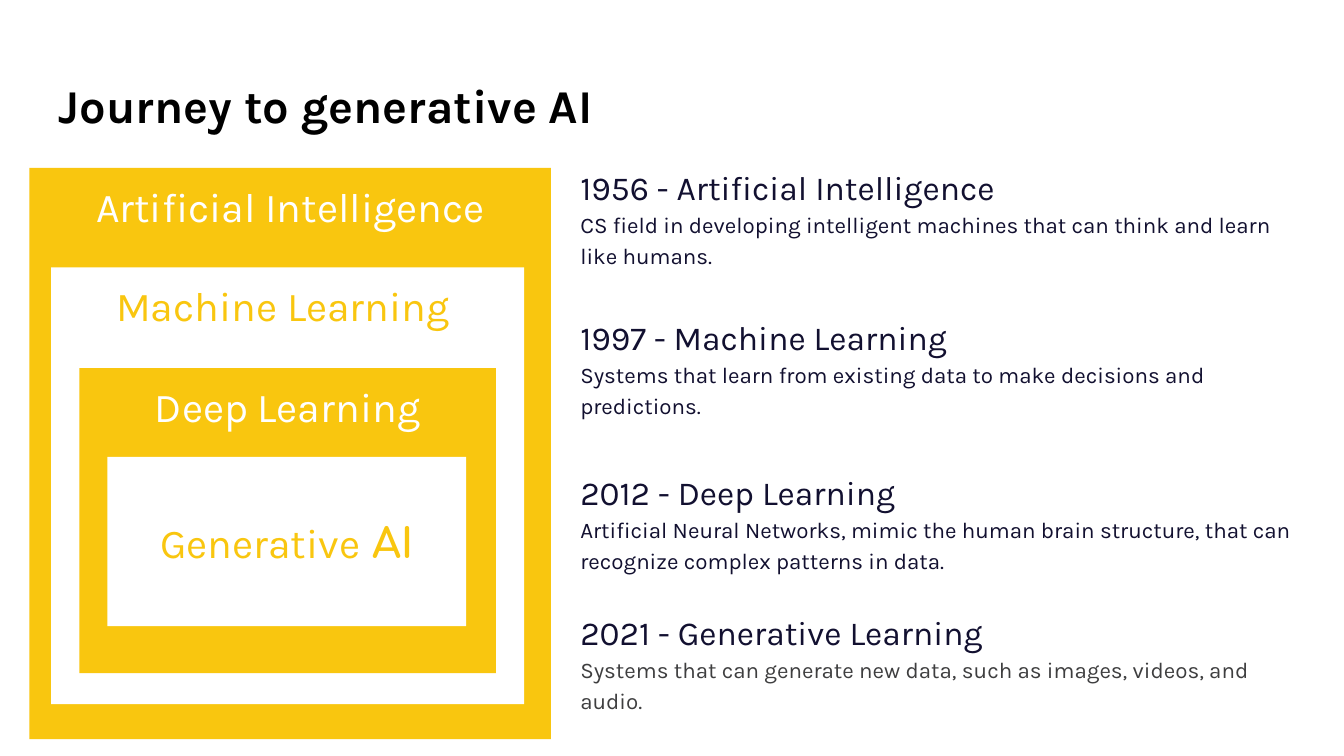
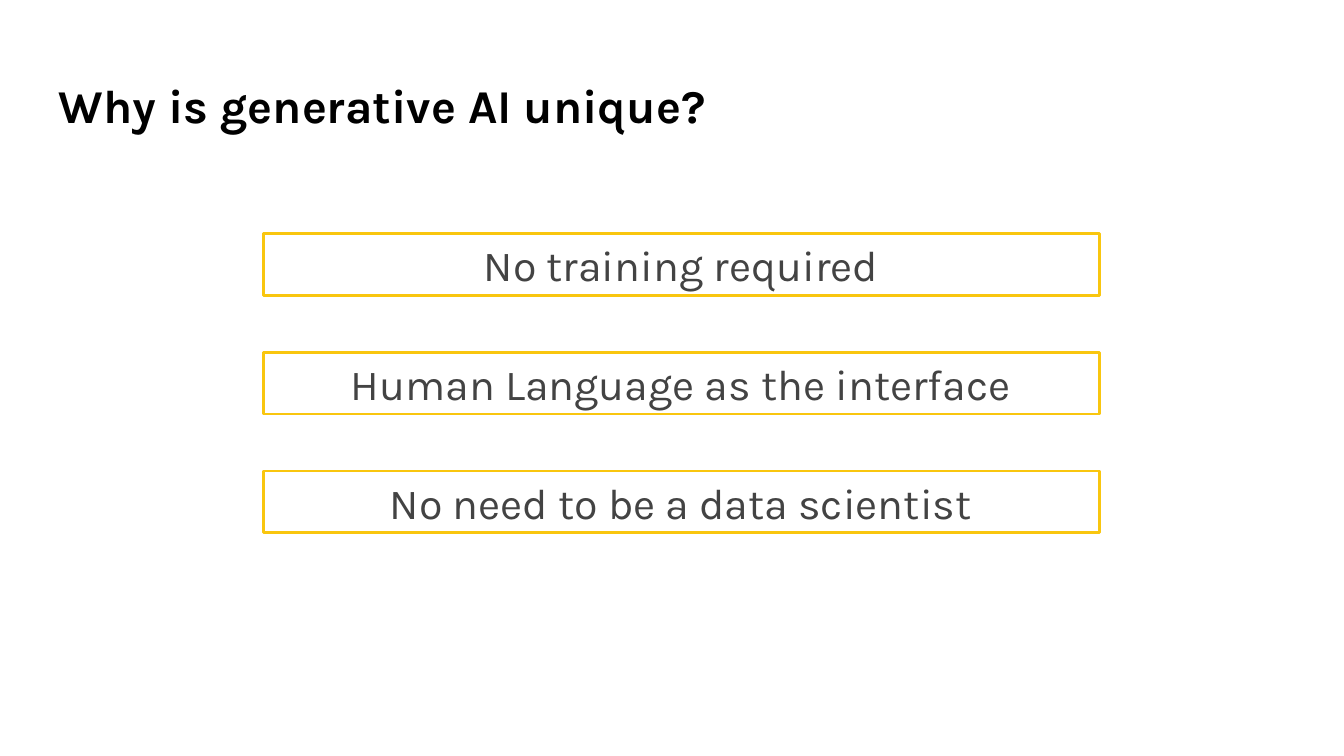
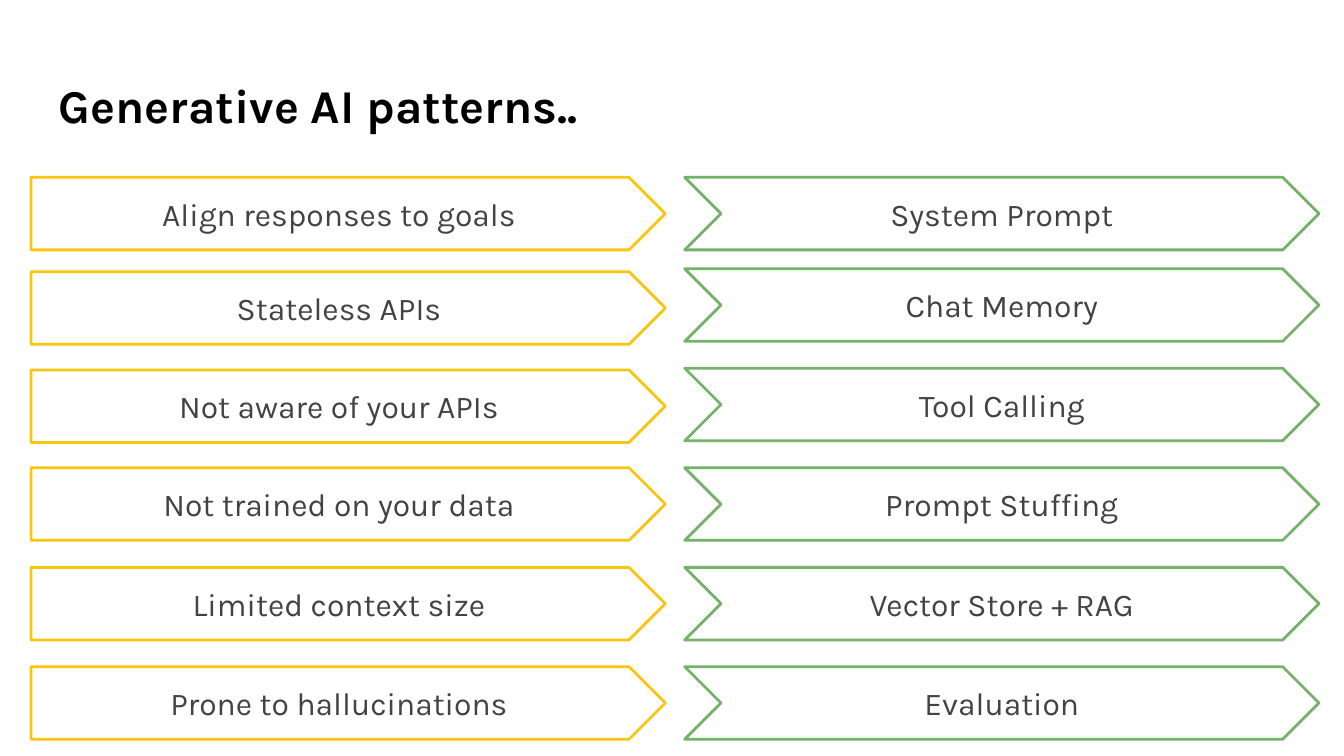
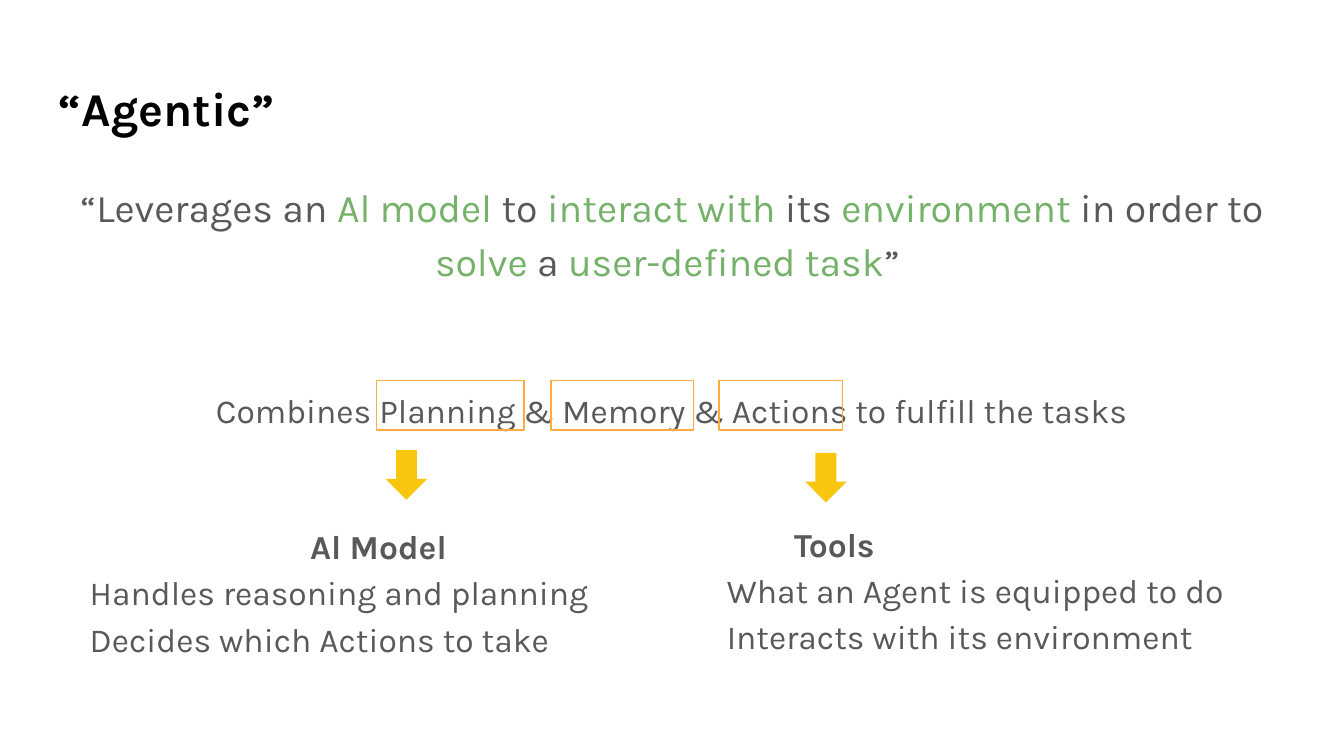
"""Build four slides introducing generative AI and agents."""
import pptx
import pptx.dml.color
import pptx.enum.shapes
import pptx.enum.text
import pptx.util

Pt = pptx.util.Pt
RGBColor = pptx.dml.color.RGBColor
SHAPE = pptx.enum.shapes.MSO_SHAPE
ALIGN = pptx.enum.text.PP_ALIGN
ANCHOR = pptx.enum.text.MSO_ANCHOR

YELLOW = RGBColor(0xF9, 0xC6, 0x0F)
GREEN = RGBColor(0x75, 0xB2, 0x69)
ORANGE = RGBColor(0xFF, 0xAB, 0x40)
WHITE = RGBColor(0xFF, 0xFF, 0xFF)
BLACK = RGBColor(0, 0, 0)
NAVY = RGBColor(0x12, 0x10, 0x30)
CHARCOAL = RGBColor(0x3E, 0x3E, 0x3F)
DARK_GRAY = RGBColor(0x43, 0x43, 0x43)
GRAY = RGBColor(0x59, 0x59, 0x59)

FONT = "Karla"
ACCENT_FONT = "Comfortaa"
INSET = 7.2
BODY_SPACING = 1.15

MILESTONES = [
    ("1956 - Artificial Intelligence",
     "CS field in developing intelligent machines that can think and learn like humans.",
     NAVY, 79.2),
    ("1997 - Machine Learning",
     "Systems that learn from existing data to make decisions and predictions.",
     NAVY, 159.1),
    ("2012 - Deep Learning",
     "Artificial Neural Networks, mimic the human brain structure, "
     "that can recognize complex patterns in data.",
     NAVY, 242.6),
    ("2021 - Generative Learning",
     "Systems that can generate new data, such as images, videos, and audio.",
     CHARCOAL, 317.5),
]
NESTED_FIELDS = [
    ("Artificial Intelligence", (15.8, 90, 279.4, 306)),
    ("Machine Learning ", (27.4, 143.3, 253.4, 234)),
    ("Deep Learning", (42.5, 197.3, 223.2, 163.4)),
    ("Generative", (57.6, 244.8, 192.2, 90.7)),
]
REASONS = [
    "No training required",
    "Human Language as the interface",
    "No need to be a data scientist",
]
PATTERNS = [
    ("Align responses to goals", 95, "System Prompt", 95),
    ("Stateless APIs", 145.6, "Chat Memory", 144),
    ("Not aware of your APIs", 198.2, "Tool Calling", 197.3),
    ("Not trained on your data", 250.6, "Prompt Stuffing", 250.6),
    ("Limited context size", 304, "Vector Store + RAG", 304),
    ("Prone to hallucinations", 357.2, "Evaluation", 357.2),
]
QUOTE = [
    ("“Leverages an ", GRAY), ("Al model", GREEN), (" to ", GRAY),
    ("interact with", GREEN), (" its ", GRAY), ("environment", GREEN),
    (" in order to ", GRAY), ("solve", GREEN), (" a ", GRAY),
    ("user-defined task", GREEN), ("” ", GRAY),
]
COMBINATION = "Combines Planning & Memory & Actions to fulfill the tasks"
KEYWORD_FRAMES = [(201.6, 79.2), (385.2, 66.2), (295.2, 76.3)]
AGENT_PARTS = [
    ("Al Model", ["Handles reasoning and planning", "Decides which Actions to take"],
     118, (41, 271.4, 353.5, 86.4), (206.6, 241.2)),
    ("Tools", ["What an Agent is equipped to do", "Interacts with its environment"],
     36, (382.3, 270, 335.5, 111.6), (431.3, 242.6)),
]


def style_font(font, size, color, bold=False, name=FONT):
    font.name = name
    font.size = Pt(size)
    font.bold = bold
    font.color.rgb = color


def prepare_frame(shape, anchor, inset=INSET):
    frame = shape.text_frame
    frame.word_wrap = True
    frame.vertical_anchor = anchor
    frame.margin_left = frame.margin_right = Pt(inset)
    frame.margin_top = frame.margin_bottom = Pt(inset)
    return frame


def add_text_box(slide, box, anchor=ANCHOR.TOP):
    return prepare_frame(slide.shapes.add_textbox(*map(Pt, box)), anchor)


def add_figure(slide, kind, box, fill=None, line=None, line_width=1.5):
    shape = slide.shapes.add_shape(kind, *map(Pt, box))
    shape.shadow.inherit = False
    if fill is None:
        shape.fill.background()
    else:
        shape.fill.solid()
        shape.fill.fore_color.rgb = fill
    if line is None:
        shape.line.fill.background()
    else:
        shape.line.color.rgb = line
        shape.line.width = Pt(line_width)
    return shape


def write_lines(frame, lines, align=ALIGN.LEFT, spacing=None):
    """Write (text, size, color, bold) lines, one paragraph each."""
    for index, (text, *style) in enumerate(lines):
        paragraph = frame.add_paragraph() if index else frame.paragraphs[0]
        paragraph.text = text
        paragraph.alignment = align
        if spacing:
            paragraph.line_spacing = spacing
        style_font(paragraph.font, *style)


def add_label(shape, text, size, color, anchor=ANCHOR.MIDDLE, inset=INSET):
    frame = prepare_frame(shape, anchor, inset)
    write_lines(frame, [(text, size, color)], ALIGN.CENTER)
    return frame


def add_title(slide, text, top=33.8):
    frame = add_text_box(slide, (24.5, top, 671, 45.4))
    write_lines(frame, [(text, 25.2, BLACK, True)])


def build_journey(slide):
    for heading, description, color, top in MILESTONES:
        frame = add_text_box(slide, (303.8, top, 397.4, 88))
        write_lines(frame, [(heading, 18, NAVY), (description, 12, color)],
                    spacing=BODY_SPACING)
    for index, (field, box) in enumerate(NESTED_FIELDS):
        fill, color = (WHITE, YELLOW) if index % 2 else (YELLOW, WHITE)
        innermost = index == len(NESTED_FIELDS) - 1
        anchor = ANCHOR.MIDDLE if innermost else ANCHOR.TOP
        square = add_figure(slide, SHAPE.RECTANGLE, box, fill)
        frame = add_label(square, field, 22, color, anchor)
    suffix = frame.paragraphs[0].add_run()
    suffix.text = " AI"
    style_font(suffix.font, 22, YELLOW, True, ACCENT_FONT)
    add_title(slide, "Journey to generative AI")


def build_reasons(slide):
    for index, reason in enumerate(REASONS):
        box = (141.1, 125.2 + index * 63.6, 447.8, 33.1)
        bar = add_figure(slide, SHAPE.RECTANGLE, box, line=YELLOW)
        add_label(bar, reason, 23, DARK_GRAY, ANCHOR.TOP, 2.88)
    add_title(slide, "Why is generative AI unique?")


def build_patterns(slide):
    for problem, problem_top, solution, solution_top in PATTERNS:
        for kind, text, left, top, line in (
            (SHAPE.PENTAGON, problem, 16.6, problem_top, YELLOW),
            (SHAPE.CHEVRON, solution, 366.8, solution_top, GREEN),
        ):
            arrow = add_figure(slide, kind, (left, top, 339.8, 38.9), WHITE, line)
            add_label(arrow, text, 17, DARK_GRAY)
    add_title(slide, "Generative AI patterns..")


def build_agentic(slide):
    frame = add_text_box(slide, (24.5, 198.7, 671, 36))
    write_lines(frame, [(COMBINATION, 18, GRAY)], ALIGN.CENTER, BODY_SPACING)

    quote = add_text_box(slide, (24.5, 60.5, 671, 126), ANCHOR.MIDDLE).paragraphs[0]
    quote.alignment = ALIGN.CENTER
    quote.line_spacing = BODY_SPACING
    for text, color in QUOTE:
        run = quote.add_run()
        run.text = text
        style_font(run.font, 21, color)

    for heading, details, indent, box, (arrow_left, arrow_top) in AGENT_PARTS:
        frame = add_text_box(slide, box)
        lines = [(heading, 18, GRAY, True)] + [(detail, 18, GRAY) for detail in details]
        write_lines(frame, lines, spacing=BODY_SPACING)
        properties = frame.paragraphs[0]._p.get_or_add_pPr()
        properties.set("marL", str(Pt(indent)))
        properties.set("indent", "0")
        add_figure(slide, SHAPE.DOWN_ARROW, (arrow_left, arrow_top, 22.3, 26.6), YELLOW)

    for left, width in KEYWORD_FRAMES:
        add_figure(slide, SHAPE.RECTANGLE, (left, 203.8, width, 26.6),
                   line=ORANGE, line_width=0.75)
    add_title(slide, "“Agentic”", 35.3)


def main():
    presentation = pptx.Presentation()
    presentation.slide_width = Pt(720)
    presentation.slide_height = Pt(405)
    blank = presentation.slide_layouts[6]
    for build in (build_journey, build_reasons, build_patterns, build_agentic):
        build(presentation.slides.add_slide(blank))
    presentation.save("out.pptx")


if __name__ == "__main__":
    main()
